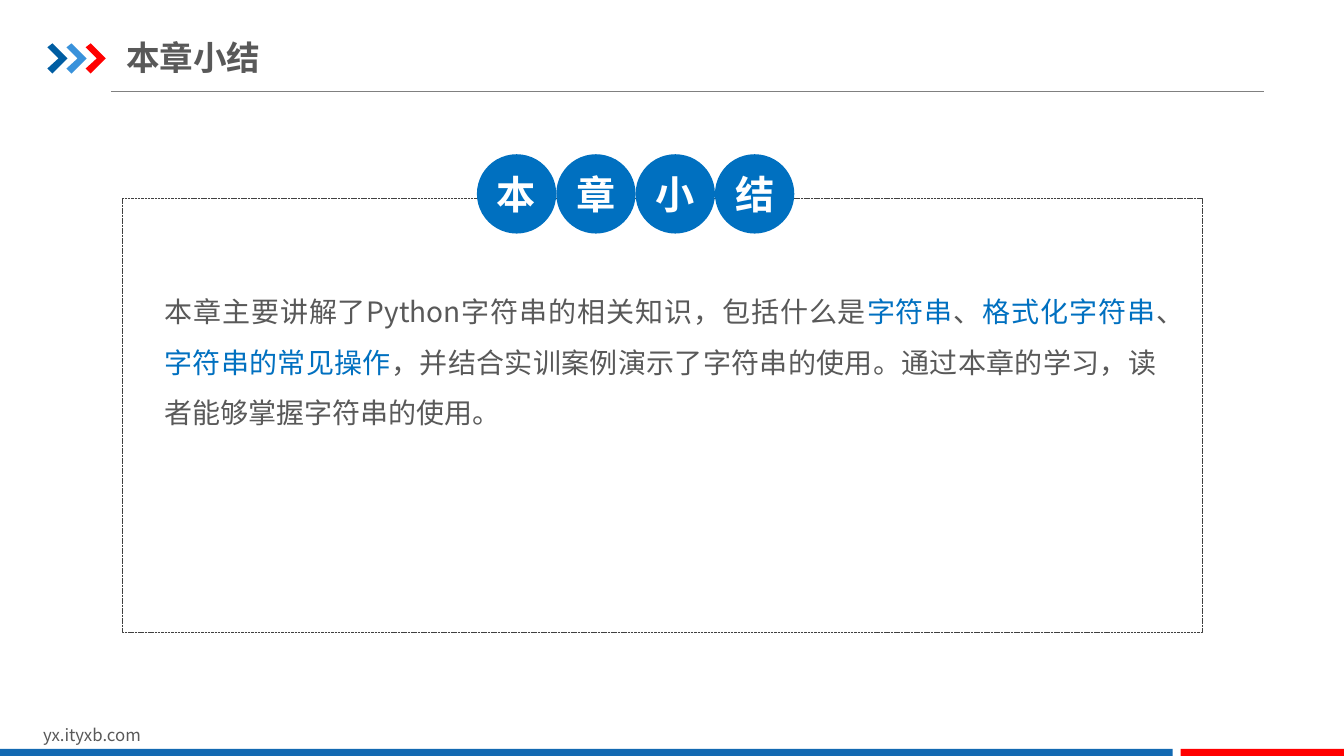
from lxml import etree
from pptx import Presentation, util as u
from pptx.dml.color import RGBColor
from pptx.enum import dml, shapes, text
from pptx.oxml.ns import qn

WIDTH, HEIGHT = 13.33, 7.5
FONT = "Noto Sans CJK SC"
GREY, BLUE, RED, WHITE = "595959", "0070C0", "FF0000", "FFFFFF"

TITLE = "本章小结"
SITE = "yx.ityxb.com"
SUMMARY = [
    ("本章主要讲解了Python字符串的相关知识，包括什么是", GREY),
    ("字符串", BLUE),
    ("、", GREY),
    ("格式化字符串", BLUE),
    ("、", GREY),
    ("字符串的常见操作", BLUE),
    ("，并结合实训案例演示了字符串的使用。通过本章的学习，读者能够掌握字符串的使用。", GREY),
]
CHEVRON_COLORS = ["005DA2", "3992DB", RED]
CHEVRON = [(0, 0.04), (0.05, 0), (0.2, 0.15), (0.05, 0.3), (0, 0.25), (0.11, 0.15)]
CHEVRON_LEFT, CHEVRON_TOP, CHEVRON_STEP = 0.47, 0.43, 0.19
BADGE_LEFT, BADGE_TOP, BADGE_SIZE = 4.73, 1.53, 0.787
BAR_TOP, BAR_HEIGHT, BAR_GAP, BLUE_BAR = 7.43, 0.09, 0.08, 11.63


def color(value):
    return RGBColor.from_string(value)


def place(shape, *box):
    for name, value in zip(("left", "top", "width", "height"), box):
        setattr(shape, name, u.Inches(value))


def paint(shape, fill):
    shape.shadow.inherit = False
    shape.fill.solid()
    shape.fill.fore_color.rgb = color(fill)
    shape.line.fill.background()


def write(shape, runs, size, bold=False, frame_format=(), paragraph_format=()):
    frame = shape.text_frame
    frame_values = {"word_wrap": True, "auto_size": text.MSO_AUTO_SIZE.NONE}
    for name, value in {**frame_values, **dict(frame_format)}.items():
        setattr(frame, name, value)
    paragraph = frame.paragraphs[0]
    for name, value in dict(paragraph_format).items():
        setattr(paragraph, name, value)
    for words, ink in runs:
        run = paragraph.add_run()
        run.text = words
        for name, value in {"name": FONT, "size": u.Pt(size), "bold": bold}.items():
            setattr(run.font, name, value)
        run.font.color.rgb = color(ink)
        etree.SubElement(run._r.get_or_add_rPr(), qn("a:ea"), typeface=FONT)
    return paragraph


def margins(horizontal, vertical):
    return {
        "margin_left": u.Inches(horizontal), "margin_right": u.Inches(horizontal),
        "margin_top": u.Inches(vertical), "margin_bottom": u.Inches(vertical),
    }


def add_header(slide):
    rule = slide.shapes.add_connector(
        shapes.MSO_CONNECTOR.STRAIGHT, u.Inches(1.1), u.Inches(0.91), u.Inches(12.54), u.Inches(0.91))
    rule.line.color.rgb = color("808080")
    rule.line.width = u.Pt(0.75)
    etree.SubElement(rule._element.spPr, qn("a:effectLst"))
    for index, fill in enumerate(CHEVRON_COLORS):
        left = CHEVRON_LEFT + index * CHEVRON_STEP
        points = [(u.Inches(left + x), u.Inches(CHEVRON_TOP + y)) for x, y in CHEVRON]
        builder = slide.shapes.build_freeform(*points[0])
        builder.add_line_segments(points[1:], close=True)
        paint(builder.convert_to_shape(), fill)
    title = slide.shapes.title
    place(title, 1.25, 0.29, 6.2, 0.55)
    write(title, [(TITLE, GREY)], 24, True,
          {**margins(0, 0.07), "vertical_anchor": text.MSO_ANCHOR.MIDDLE},
          {"alignment": text.PP_ALIGN.LEFT})


def add_footer(slide):
    site = slide.shapes.add_textbox(0, 0, 0, 0)
    place(site, 0.33, 7.14, 3.18, 0.3)
    write(site, [(SITE, GREY)], 12)
    red_left = BLUE_BAR + BAR_GAP
    for left, width, fill in [(0, BLUE_BAR, "1369B2"), (red_left, WIDTH - red_left, RED)]:
        bar = slide.shapes.add_shape(shapes.MSO_SHAPE.RECTANGLE, 0, 0, 0, 0)
        place(bar, left, BAR_TOP, width, BAR_HEIGHT)
        paint(bar, fill)


def add_summary(slide):
    panel = slide.shapes.add_shape(shapes.MSO_SHAPE.ROUNDED_RECTANGLE, 0, 0, 0, 0)
    place(panel, 1.21, 1.97, 10.71, 4.3)
    panel.adjustments[0] = 0
    panel.shadow.inherit = False
    panel.fill.background()
    panel.line.color.rgb = color("404040")
    panel.line.width = u.Pt(0.25)
    panel.line.dash_style = dml.MSO_LINE.SQUARE_DOT
    body = slide.placeholders[1]
    place(body, 1.63, 2.76, 9.84, 1.51)
    paragraph = write(body, SUMMARY, 20, False,
                      {**margins(0, 0), "vertical_anchor": text.MSO_ANCHOR.TOP},
                      {"alignment": text.PP_ALIGN.JUSTIFY, "line_spacing": 1.5, "space_before": u.Pt(0)})
    properties = paragraph._p.get_or_add_pPr()
    properties.set("marL", "0")
    properties.set("indent", "0")
    etree.SubElement(properties, qn("a:buNone"))
    for index, character in enumerate(TITLE):
        badge = slide.shapes.add_shape(shapes.MSO_SHAPE.OVAL, 0, 0, 0, 0)
        place(badge, BADGE_LEFT + index * BADGE_SIZE, BADGE_TOP, BADGE_SIZE, BADGE_SIZE)
        paint(badge, BLUE)
        write(badge, [(character, WHITE)], 28, True,
              {**margins(0, 0), "vertical_anchor": text.MSO_ANCHOR.MIDDLE},
              {"alignment": text.PP_ALIGN.CENTER})


def main():
    presentation = Presentation()
    presentation.slide_width = u.Inches(WIDTH)
    presentation.slide_height = u.Inches(HEIGHT)
    slide = presentation.slides.add_slide(presentation.slide_layouts[1])
    add_header(slide)
    add_footer(slide)
    add_summary(slide)
    presentation.save("out.pptx")


if __name__ == "__main__":
    main()
